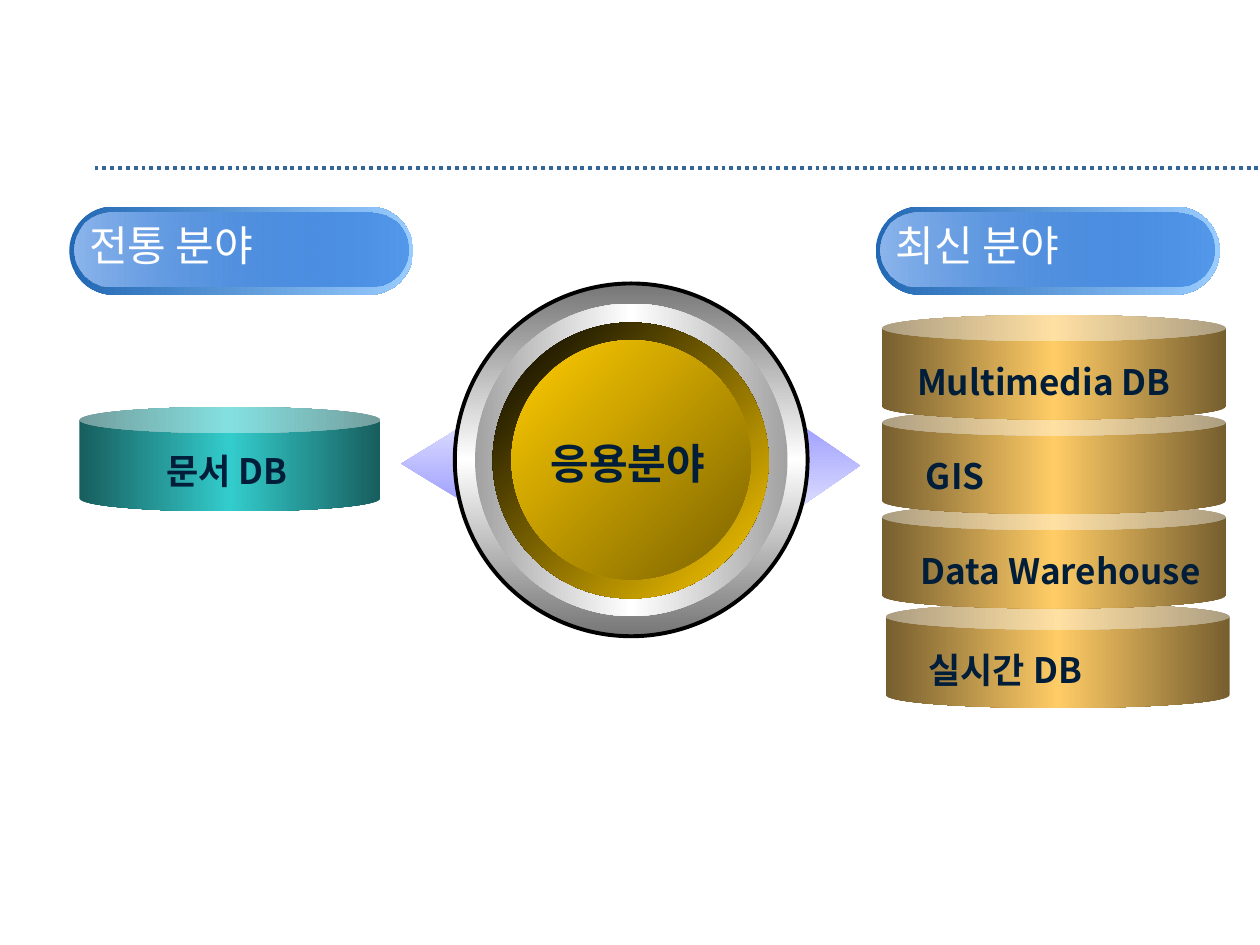
"""Build the slide that sets traditional against recent database application fields."""
import lxml.etree
import pptx
import pptx.dml.color
import pptx.enum.dml
import pptx.enum.shapes
import pptx.enum.text
import pptx.oxml
import pptx.oxml.ns
import pptx.util

Inches = pptx.util.Inches
RGBColor = pptx.dml.color.RGBColor
Shape = pptx.enum.shapes.MSO_SHAPE
qn = pptx.oxml.ns.qn

FONT = "Noto Sans CJK KR"
WHITE = RGBColor(0xFF, 0xFF, 0xFF)
BLACK = RGBColor(0x00, 0x00, 0x00)
NAVY = RGBColor(0x00, 0x1D, 0x3A)
RULE_BLUE = RGBColor(0x33, 0x66, 0x99)
STEEL = RGBColor(0x76, 0x76, 0x76)
SILVER = RGBColor(0xA2, 0xA2, 0xA2)
GOLD = RGBColor(0xFF, 0xCC, 0x00)
DARK_GOLD = RGBColor(0x7C, 0x63, 0x00)
AMBER = RGBColor(0xFF, 0xCC, 0x66)
BROWN = RGBColor(0x76, 0x5E, 0x2F)
TEAL = RGBColor(0x33, 0xCC, 0xCC)
DARK_TEAL = RGBColor(0x18, 0x5E, 0x5E)
LILAC = RGBColor(0xA1, 0xA1, 0xFF)
PALE_LILAC = RGBColor(0xDA, 0xDA, 0xFF)
RIM_DARK = RGBColor(0x22, 0x68, 0xB4)
RIM_LIGHT = RGBColor(0x99, 0xCC, 0xFF)
PILL_LIGHT = RGBColor(0x8B, 0xB5, 0xEC)
PILL_BLUE = RGBColor(0x11, 0x66, 0xD7)


def fill_gradient(shape, colors, angle, end_alpha=100, turns=True):
    """Fill a shape with evenly spaced colours at a clockwise angle."""
    shape.fill.gradient()
    gradient = shape._element.spPr.find(qn("a:gradFill"))
    for child in list(gradient):
        gradient.remove(child)
    gradient.set("rotWithShape", "1" if turns else "0")
    stops = lxml.etree.SubElement(gradient, qn("a:gsLst"))
    last = len(colors) - 1
    for index, color in enumerate(colors):
        stop = lxml.etree.SubElement(stops, qn("a:gs"), pos=str(100000 * index // last))
        value = lxml.etree.SubElement(stop, qn("a:srgbClr"), val=str(color))
        if index == last and end_alpha < 100:
            lxml.etree.SubElement(value, qn("a:alpha"), val=str(end_alpha * 1000))
    lxml.etree.SubElement(gradient, qn("a:lin"), ang=str(angle * 60000), scaled="0")


def add_shape(shapes, kind, left, top, width, height, colors, angle=0, **options):
    """Add a borderless preset shape with a gradient fill."""
    shape = shapes.add_shape(kind, Inches(left), Inches(top), Inches(width), Inches(height))
    shape.shadow.inherit = False
    shape.line.fill.background()
    fill_gradient(shape, colors, angle, **options)
    return shape


def add_label(shapes, text, left, top, width, height, size=20, color=NAVY, bold=True, wrap=False):
    """Add a one-line text box and return its run."""
    box = shapes.add_textbox(Inches(left), Inches(top), Inches(width), Inches(height))
    box.text_frame.word_wrap = wrap
    box.text_frame.auto_size = pptx.enum.text.MSO_AUTO_SIZE.SHAPE_TO_FIT_TEXT
    span = box.text_frame.paragraphs[0].add_run()
    span.text = text
    span.font.size = pptx.util.Pt(size)
    span.font.bold = bold
    span.font.color.rgb = color
    span.font.name = FONT
    latin = span.font._element.find(qn("a:latin"))
    latin.addnext(latin.makeelement(qn("a:ea"), {"typeface": FONT}))
    return span


def add_text_shadow(span):
    """Cast a soft dark shadow down and to the right of a run."""
    effects = pptx.oxml.parse_xml(
        '<a:effectLst xmlns:a="http://schemas.openxmlformats.org/drawingml/2006/main">'
        '<a:outerShdw dist="25400" dir="2700000"><a:srgbClr val="000000">'
        '<a:alpha val="50000"/></a:srgbClr></a:outerShdw></a:effectLst>')
    span.font._element.find(qn("a:solidFill")).addnext(effects)


def add_rule(shapes):
    """Draw the dotted header rule."""
    rule = shapes.add_connector(pptx.enum.shapes.MSO_CONNECTOR.STRAIGHT,
                                Inches(0.75), Inches(1.33), Inches(10), Inches(1.33))
    rule.line.color.rgb = RULE_BLUE
    rule.line.width = pptx.util.Pt(2.24)
    rule.line.dash_style = pptx.enum.dml.MSO_LINE.ROUND_DOT
    lxml.etree.SubElement(rule._element.spPr, qn("a:effectLst"))


def add_pointer(shapes, left, top, width, height, rotation):
    """Add a triangular pointer turned to one side."""
    pointer = add_shape(shapes, Shape.UP_ARROW, left, top, width, height,
                        (LILAC, PALE_LILAC), rotation, turns=False)
    pointer.adjustments[0] = 0.52
    pointer.adjustments[1] = 1
    pointer.rotation = rotation
    pointer._element.spPr.find(qn("a:xfrm")).set("flipH", "1")


def add_dial(shapes):
    """Add the central dial of nested circles with its label."""
    rings = (
        (3.61, 2.25, 2.8, (STEEL, WHITE, STEEL), 90),
        (3.77, 2.41, 2.48, (SILVER, WHITE, SILVER), 0),
        (3.91, 2.56, 2.19, (BLACK, GOLD), 45),
        (4.06, 2.7, 1.9, (GOLD, DARK_GOLD), 45),
    )
    circles = [add_shape(shapes, Shape.OVAL, left, top, size, size, colors, angle)
               for left, top, size, colors, angle in rings]
    circles[0].line.color.rgb = BLACK
    circles[0].line.width = pptx.util.Pt(2.24)
    add_label(shapes, "응용분야", 4.27, 3.42, 1.49, 0.5, size=24)


def add_can(shapes, left, top, width, edge, middle):
    """Add a database cylinder."""
    can = add_shape(shapes, Shape.CAN, left, top, width, 0.83, (edge, middle, edge))
    can.adjustments[0] = 0.25


def add_heading(shapes, text, left):
    """Add a grouped pill-shaped heading."""
    group = shapes.add_group_shape().shapes
    rim = add_shape(group, Shape.ROUNDED_RECTANGLE, left, 1.64, 2.73, 0.7,
                    (RIM_DARK, RIM_LIGHT))
    face = add_shape(group, Shape.ROUNDED_RECTANGLE, left + 0.04, 1.69, 2.65, 0.58,
                     (PILL_LIGHT, PILL_BLUE), end_alpha=50)
    for pill in (rim, face):
        pill.adjustments[0] = 0.5
    add_text_shadow(add_label(group, text, left + 0.06, 1.69, 2.64, 0.5,
                              size=24, color=WHITE, bold=False, wrap=True))


def main():
    """Build and save the slide."""
    deck = pptx.Presentation()
    deck.slide_width = Inches(10)
    deck.slide_height = Inches(7.5)
    shapes = deck.slides.add_slide(deck.slide_layouts[6]).shapes
    add_rule(shapes)
    add_pointer(shapes, 3.13, 3.44, 0.59, 0.48, 270)
    add_pointer(shapes, 6.29, 3.47, 0.62, 0.45, 90)
    add_dial(shapes)
    add_can(shapes, 0.63, 3.23, 2.39, DARK_TEAL, TEAL)
    add_label(shapes, "문서 DB", 1.22, 3.52, 1.29, 0.44)
    recent = (
        ("실시간 DB", 7.03, 4.79, 7.27, 1.56),
        ("Data Warehouse", 7, 4, 7.21, 2.53),
        ("GIS", 7, 3.25, 7.25, 0.69),
        ("Multimedia DB", 7, 2.5, 7.18, 2.31),
    )
    for text, can_left, top, text_left, text_width in recent:
        add_can(shapes, can_left, top, 2.73, BROWN, AMBER)
        add_label(shapes, text, text_left, top + 0.31, text_width, 0.44)
    add_heading(shapes, "전통 분야", 0.55)
    add_heading(shapes, "최신 분야", 6.95)
    deck.save("out.pptx")


main()
